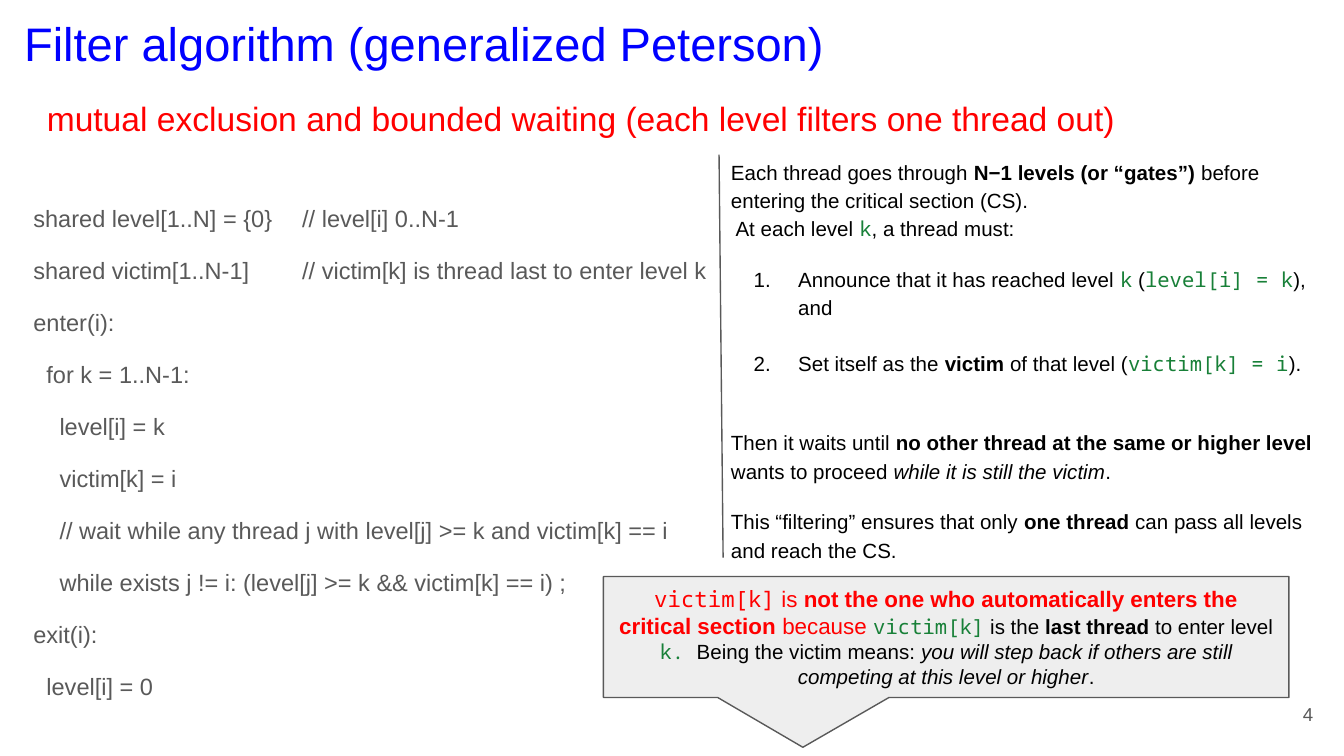
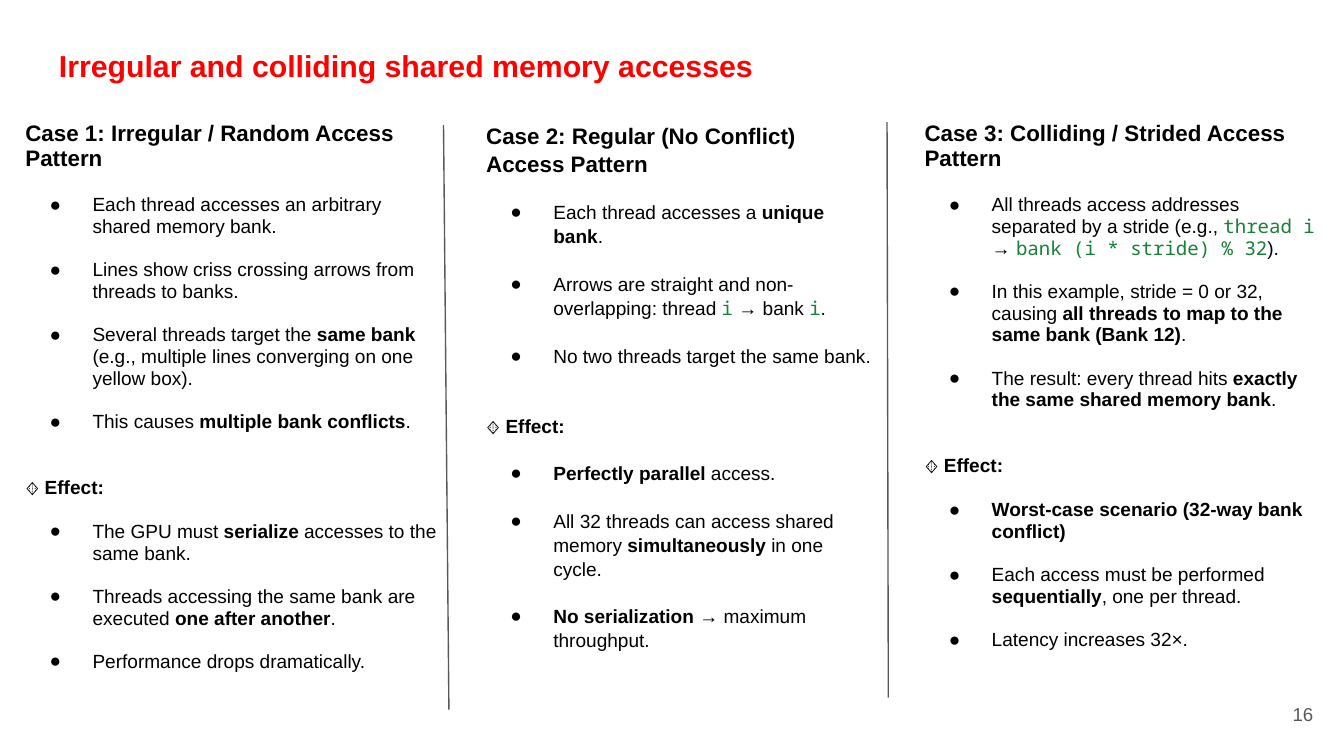
import pptx
import pptx.dml.color
import pptx.enum.shapes
import pptx.enum.text
import pptx.util
from lxml import etree

Pt = pptx.util.Pt
RGB = pptx.dml.color.RGBColor.from_string
ALIGN = pptx.enum.text.PP_ALIGN
ANCHOR = pptx.enum.text.MSO_ANCHOR
NAMESPACE = "{http://schemas.openxmlformats.org/drawingml/2006/main}"

COLORS = {
    "title": "0000FF",
    "accent": "FF0000",
    "text": "000000",
    "muted": "595959",
    "code": "188038",
    "callout": "EEEEEE",
}
CODE_FONT = "Noto Sans Mono"

# A marked segment of text starts with one of these keys and a colon.
STYLES = {
    "b": {"bold": True},
    "i": {"italic": True},
    "code": {"name": CODE_FONT, "color": "code"},
    "red": {"size": Pt(12), "color": "accent"},
    "redbold": {"size": Pt(12), "color": "accent", "bold": True},
    "redcode": {"size": Pt(12), "color": "accent", "name": CODE_FONT},
    "heading": {"size": Pt(12), "bold": True},
}


def write(shape, paragraphs, size, color="text", anchor=ANCHOR.TOP, **shared):
    """Fill a shape with (text, format) paragraphs; "|" separates the segments of a text."""
    frame = shape.text_frame
    frame.word_wrap = True
    frame.vertical_anchor = anchor
    for side in ("left", "top", "right", "bottom"):
        setattr(frame, f"margin_{side}", Pt(7.2))
    for index, (text, own) in enumerate(paragraphs):
        paragraph = frame.add_paragraph() if index else frame.paragraphs[0]
        values = {**shared, **own}
        properties = paragraph._p.get_or_add_pPr()
        left, hanging = values.pop("left", 0), values.pop("hanging", 0)
        properties.set("marL", str(Pt(left)))
        properties.set("indent", str(Pt(-hanging)))
        bullet, tab = values.pop("bullet", None), values.pop("tab", None)
        for name, value in values.items():
            setattr(paragraph, name, value)
        if bullet:
            bullet_color = etree.SubElement(properties, NAMESPACE + "buClr")
            etree.SubElement(bullet_color, NAMESPACE + "srgbClr", val=COLORS["text"])
            etree.SubElement(properties, NAMESPACE + "buFont", typeface="Arial")
            if bullet == "number":
                etree.SubElement(properties, NAMESPACE + "buAutoNum", type="arabicPeriod")
            else:
                etree.SubElement(properties, NAMESPACE + "buChar", char=bullet)
        if tab:
            tabs = etree.SubElement(properties, NAMESPACE + "tabLst")
            etree.SubElement(tabs, NAMESPACE + "tab", pos=str(Pt(tab)), algn="l")
        for segment in text.split("|"):
            if segment == "\n":
                paragraph.add_line_break()
                continue
            key, colon, rest = segment.partition(":")
            marked = bool(colon) and key in STYLES
            run = paragraph.add_run()
            run.text = rest if marked else segment
            font = {"name": "Arial", "size": Pt(size), "color": color}
            font.update(STYLES[key] if marked else {})
            run.font.color.rgb = RGB(COLORS[font.pop("color")])
            for name, value in font.items():
                setattr(run.font, name, value)


def add_divider(slide, x1, y1, x2, y2):
    line = slide.shapes.add_connector(
        pptx.enum.shapes.MSO_CONNECTOR.STRAIGHT, Pt(x1), Pt(y1), Pt(x2), Pt(y2))
    line.line.color.rgb = RGB(COLORS["muted"])
    line.line.width = Pt(0.75)
    etree.SubElement(line._element.spPr, NAMESPACE + "effectLst")


presentation = pptx.Presentation()
presentation.slide_width, presentation.slide_height = Pt(720), Pt(405)
blank = presentation.slide_layouts[6]
filter_slide, memory_slide = (presentation.slides.add_slide(blank) for _ in range(2))

# Titles, subtitle and page numbers
right_middle = {"alignment": ALIGN.RIGHT, "anchor": ANCHOR.MIDDLE}
for slide, box, text, size, color, layout in (
    (filter_slide, (5.8, 0.7, 685, 45), "Filter algorithm (generalized Peterson)",
     25.2, "title", {}),
    (filter_slide, (18, 45.4, 685, 31),
     "mutual exclusion and bounded waiting (each level filters one thread out)",
     18, "accent", {}),
    (memory_slide, (24.5, 18, 671, 45), "b:Irregular and colliding shared memory accesses",
     16.2, "accent", {}),
    (filter_slide, (667.4, 367.2, 43.2, 31), "4", 10, "muted", right_middle),
    (memory_slide, (667.4, 367.2, 43.2, 31), "16", 10, "muted", right_middle),
):
    shape = slide.shapes.add_textbox(*map(Pt, box))
    write(shape, [(text, {})], size, color, **layout)

# Filter algorithm: pseudocode, indented by nesting level
code_lines = (
    (0, "shared level[1..N] = {0}\t// level[i] 0..N-1", 141.7),
    (0, "shared victim[1..N-1]\t// victim[k] is thread last to enter level k", 136.6),
    (0, "enter(i):", None),
    (1, "for k = 1..N-1:", None),
    (2, "level[i] = k", None),
    (2, "victim[k] = i", None),
    (2, "// wait while any thread j with level[j] >= k and victim[k] == i", None),
    (2, "while exists j != i: (level[j] >= k && victim[k] == i) ;", None),
    (0, "exit(i):", None),
    (1, "level[i] = 0", None),
)
pseudocode = filter_slide.shapes.add_textbox(Pt(10.8), Pt(101.5), Pt(400), Pt(289.4))
write(pseudocode,
      [(text, {"left": 7 * level, "tab": tab, "space_before": Pt(12 if index else 0)})
       for index, (level, text, tab) in enumerate(code_lines)],
      12.6, "muted", line_spacing=1.05)

# Filter algorithm: explanation
numbered = {"bullet": "number", "left": 36, "hanging": 23.8}
explanation = filter_slide.shapes.add_textbox(Pt(384.5), Pt(76.3), Pt(329.8), Pt(278))
write(explanation, [
    ("Each thread goes through |b:N−1 levels (or “gates”)| before entering the critical "
     "section (CS).|\n| At each level |code:k|, a thread must:", {}),
    ("Announce that it has reached level |code:k| (|code:level[i] = k|), and",
     {**numbered, "space_before": Pt(12)}),
    ("Set itself as the |b:victim| of that level (|code:victim[k] = i|).",
     {**numbered, "space_before": Pt(15)}),
    ("Then it waits until |b:no other thread at the same or higher level| wants to proceed "
     "|i:while it is still the victim|.", {"space_before": Pt(27)}),
    ("This “filtering” ensures that only |b:one thread| can pass all levels and reach the CS.",
     {"space_before": Pt(12)}),
], 11, line_spacing=1.15)

callout = filter_slide.shapes.add_shape(
    pptx.enum.shapes.MSO_SHAPE.ROUNDED_RECTANGULAR_CALLOUT,
    Pt(323.3), Pt(308.9), Pt(367.2), Pt(64.8))
for index, value in enumerate((-0.209, 0.912, 0)):
    callout.adjustments[index] = value
callout.shadow.inherit = False
callout.fill.solid()
callout.fill.fore_color.rgb = RGB(COLORS["callout"])
callout.line.color.rgb = RGB(COLORS["muted"])
callout.line.width = Pt(0.75)
write(callout, [(
    "redcode:victim[k]|red: is |redbold:not the one who automatically enters the critical "
    "section|red: because |code:victim[k]| is the |b:last thread| to enter level |code:k. |"
    "Being the victim means: |i:you will step back if others are still competing at this "
    "level or higher|.", {})], 11, anchor=ANCHOR.MIDDLE, alignment=ALIGN.CENTER)

add_divider(filter_slide, 385.2, 82.8, 387.4, 298.8)

# Shared memory cases: box, line spacing, heading, observations, effects
cases = (
    ((6.5, 57.6, 236.2, 309.6), 0.95, "Case 1: Irregular / Random Access Pattern",
     ("Each thread accesses an arbitrary shared memory bank.",
      "Lines show criss crossing arrows from threads to banks.",
      "Several threads target the |b:same bank| (e.g., multiple lines converging on one "
      "yellow box).",
      "This causes |b:multiple bank conflicts|."),
     ("The GPU must |b:serialize| accesses to the same bank.",
      "Threads accessing the same bank are executed |b:one after another|.",
      "Performance drops dramatically.")),
    ((253.4, 57.6, 223.2, 298.8), 1.05, "Case 2: Regular (No Conflict) Access Pattern",
     ("Each thread accesses a |b:unique bank|.",
      "Arrows are straight and non-overlapping: thread |code:i| → bank |code:i|.",
      "No two threads target the same bank."),
     ("b:Perfectly parallel| access.",
      "All 32 threads can access shared memory |b:simultaneously| in one cycle.",
      "b:No serialization| → maximum throughput.")),
    ((488.2, 57.6, 227.5, 314.6), 0.95, "Case 3: Colliding / Strided Access Pattern",
     ("All threads access addresses separated by a stride (e.g., |code:thread i| → "
      "|code:bank (i * stride) % 32|).",
      "In this example, stride = 0 or 32, causing |b:all threads to map to the same bank "
      "(Bank 12)|.",
      "The result: every thread hits |b:exactly the same shared memory bank|."),
     ("b:Worst-case scenario (32-way bank conflict)",
      "Each access must be performed |b:sequentially|, one per thread.",
      "Latency increases 32×.")),
)
for box, spacing, heading, observations, effects in cases:
    gap = 12.2 * spacing
    paragraphs = [("heading:" + heading, {})]
    for items in (observations, effects):
        if items is effects:
            paragraphs.append(("b:🔸 Effect:", {"space_before": Pt(12 + gap)}))
        for index, item in enumerate(items):
            paragraphs.append((item, {"bullet": "●", "left": 36, "hanging": 23,
                                      "space_before": Pt(gap if index else 12)}))
    column = memory_slide.shapes.add_textbox(*map(Pt, box))
    write(column, paragraphs, 10.2, line_spacing=spacing)

add_divider(memory_slide, 237.6, 67, 240.5, 380.2)
add_divider(memory_slide, 475.2, 65.5, 475.9, 373.7)

presentation.save("out.pptx")
